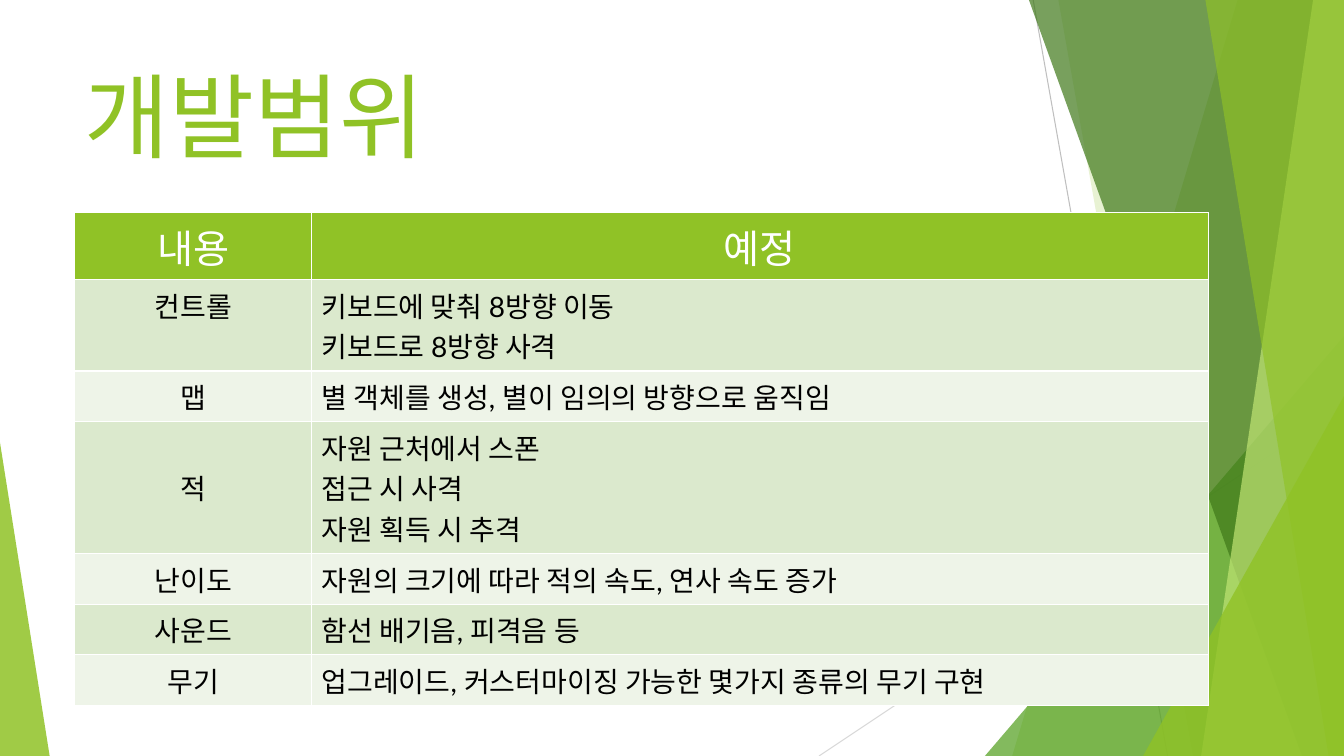
from dataclasses import dataclass
from pptx import Presentation
from pptx.dml.color import RGBColor
from pptx.enum.shapes import MSO_CONNECTOR, MSO_SHAPE
from pptx.enum.text import MSO_ANCHOR, PP_ALIGN
from pptx.oxml.ns import qn
from pptx.util import Pt
from lxml import etree

STRAIGHT = MSO_CONNECTOR.STRAIGHT
TRIANGLE = MSO_SHAPE.ISOSCELES_TRIANGLE
TOP, MIDDLE = MSO_ANCHOR.TOP, MSO_ANCHOR.MIDDLE
LEFT, CENTER = PP_ALIGN.LEFT, PP_ALIGN.CENTER
W, H = 960, 540


@dataclass
class Theme:
    font: str = "Lato"
    lime: str = "90C226"
    pale_lime: str = "C0E474"
    green: str = "54A021"
    forest: str = "3F7819"
    white: str = "FFFFFF"
    black: str = "000000"
    gray: str = "BFBFBF"
    light_gray: str = "D9D9D9"
    bands: tuple = ("DBE9CD", "EEF4E8")
    title: int = 66
    header: int = 28
    body: int = 20
    line_height: float = 1.45
    cell_padding: float = 7.2

    def row_height(self, size, lines=1):
        return size * self.line_height * lines + self.cell_padding


def color(value):
    return RGBColor.from_string(value)


def write(tf, text, font, size, fill, align=LEFT, spacing=1.0):
    for i, line in enumerate(text.split("\n")):
        p = tf.paragraphs[0] if i == 0 else tf.add_paragraph()
        p.alignment = align
        p.line_spacing = spacing
        r = p.add_run()
        r.text = line
        r.font.name = font
        r.font.size = Pt(size)
        r.font.color.rgb = color(fill)


class Deck:
    def __init__(self, prs, theme):
        self.t = theme
        self.s = prs.slides.add_slide(prs.slide_layouts[6])

    def line(self, x1, y1, x2, y2, stroke):
        c = self.s.shapes.add_connector(STRAIGHT, Pt(x1), Pt(y1), Pt(x2), Pt(y2))
        c.line.color.rgb = color(stroke)
        c.line.width = Pt(0.75)
        etree.SubElement(c._element.spPr, qn("a:effectLst"))

    def paint(self, sp, fill, opacity):
        sp.shadow.inherit = False
        sp.line.fill.background()
        sp.fill.solid()
        sp.fill.fore_color.rgb = color(fill)
        clr = sp._element.spPr.find(qn("a:solidFill"))[0]
        etree.SubElement(clr, qn("a:alpha"), val=str(opacity * 1000))

    def facet(self, top_x, bottom_x, fill, opacity):
        fb = self.s.shapes.build_freeform(Pt(top_x), 0)
        corners = [(W, 0), (W, H), (bottom_x, H)]
        fb.add_line_segments([(Pt(x), Pt(y)) for x, y in corners], close=True)
        self.paint(fb.convert_to_shape(), fill, opacity)

    def triangle(self, x, y, width, apex, fill, opacity):
        sp = self.s.shapes.add_shape(TRIANGLE, Pt(x), Pt(y), Pt(width), Pt(H - y))
        sp.adjustments[0] = apex
        self.paint(sp, fill, opacity)

    def title(self, text, x, y, width, height):
        tf = self.s.shapes.add_textbox(Pt(x), Pt(y), Pt(width), Pt(height)).text_frame
        tf.word_wrap = True
        tf.vertical_anchor = TOP
        write(tf, text, self.t.font, self.t.title, self.t.lime, spacing=0.9)

    def cell(self, cell, text, size, ink, fill, align, anchor=TOP):
        tcPr = cell._tc.get_or_add_tcPr()
        for side in ("lnL", "lnR", "lnT", "lnB"):
            ln = etree.SubElement(tcPr, qn("a:" + side), w=str(Pt(1)))
            solid = etree.SubElement(ln, qn("a:solidFill"))
            etree.SubElement(solid, qn("a:srgbClr"), val=self.t.white)
        cell.fill.solid()
        cell.fill.fore_color.rgb = color(fill)
        cell.vertical_anchor = anchor
        write(cell.text_frame, text, self.t.font, size, ink, align)

    def table(self, x, y, widths, header, rows):
        t = self.t
        heights = [t.row_height(t.header)]
        heights += [t.row_height(t.body, plan.count("\n") + 1) for _, plan, _ in rows]
        frame = self.s.shapes.add_table(len(heights), len(widths), Pt(x), Pt(y),
                                        Pt(sum(widths)), Pt(sum(heights)))
        tbl = frame.table
        tbl.first_row = tbl.horz_banding = False
        for col, width in zip(tbl.columns, widths):
            col.width = Pt(width)
        for row, height in zip(tbl.rows, heights):
            row.height = Pt(height)
        for j, text in enumerate(header):
            self.cell(tbl.cell(0, j), text, t.header, t.white, t.lime, CENTER)
        for i, (topic, plan, anchor) in enumerate(rows):
            band = t.bands[i % 2]
            self.cell(tbl.cell(i + 1, 0), topic, t.body, t.black, band, CENTER, anchor)
            self.cell(tbl.cell(i + 1, 1), plan, t.body, t.black, band, LEFT)


SCOPE = [
    ("컨트롤", "키보드에 맞춰 8방향 이동\n키보드로 8방향 사격", TOP),
    ("맵", "별 객체를 생성, 별이 임의의 방향으로 움직임", TOP),
    ("적", "자원 근처에서 스폰\n접근 시 사격\n자원 획득 시 추격", MIDDLE),
    ("난이도", "자원의 크기에 따라 적의 속도, 연사 속도 증가", TOP),
    ("사운드", "함선 배기음, 피격음 등", TOP),
    ("무기", "업그레이드, 커스터마이징 가능한 몇가지 종류의 무기 구현", TOP),
]

prs = Presentation()
prs.slide_width, prs.slide_height = Pt(W), Pt(H)
theme = Theme()
deck = Deck(prs, theme)

deck.line(738, 0, 834, H, theme.gray)
deck.line(W, 290, 585, H, theme.light_gray)
deck.facet(884, 723, theme.lime, 30)
deck.facet(756, 852, theme.lime, 20)
deck.triangle(703.5, 240, 256.5, 1, theme.green, 72)
deck.facet(735, 930, theme.forest, 70)
deck.facet(938, 858, theme.pale_lime, 70)
deck.facet(861, 949, theme.lime, 65)
deck.triangle(816.5, 283, 143.5, 1, theme.lime, 80)
deck.triangle(0, 316, 35.5, 0, theme.lime, 85)

deck.title("개발범위", 53.5, 48, 677, 104)
deck.table(53.5, 152, (169, 640.5), ("내용", "예정"), SCOPE)

prs.save("out.pptx")
